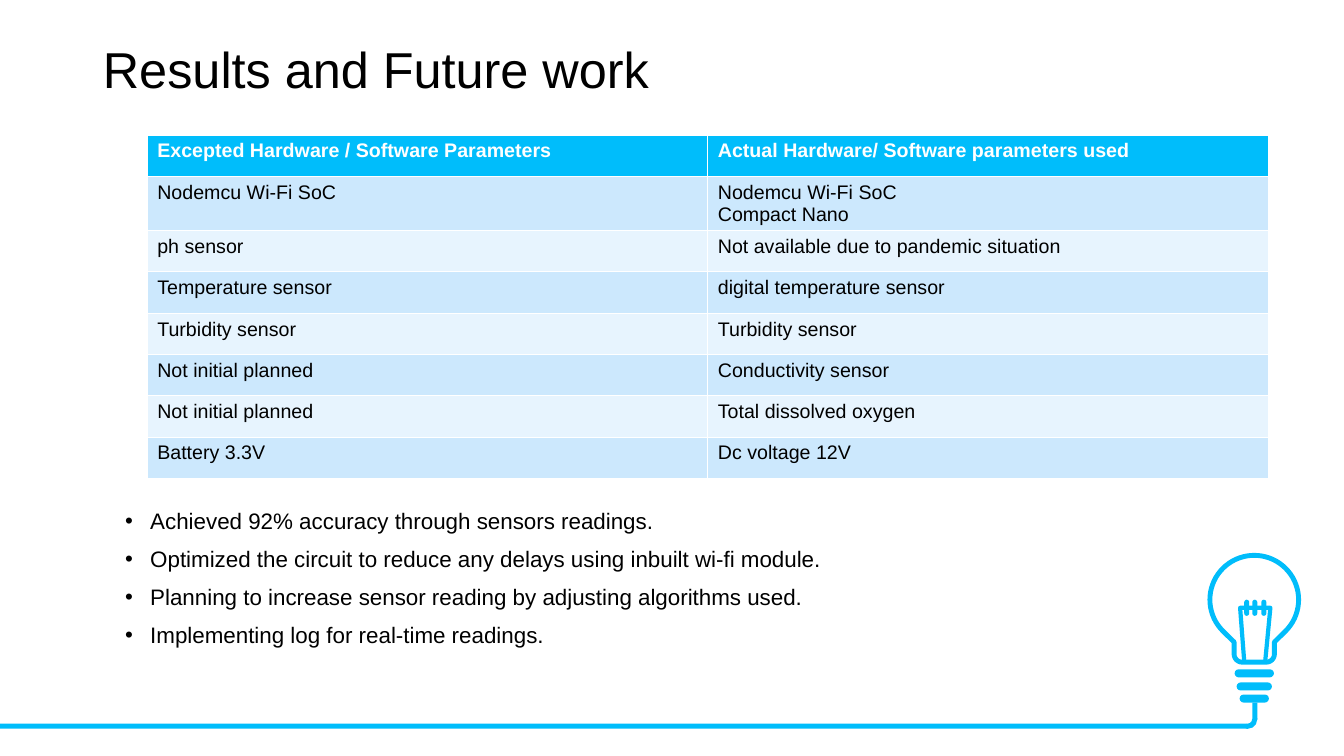
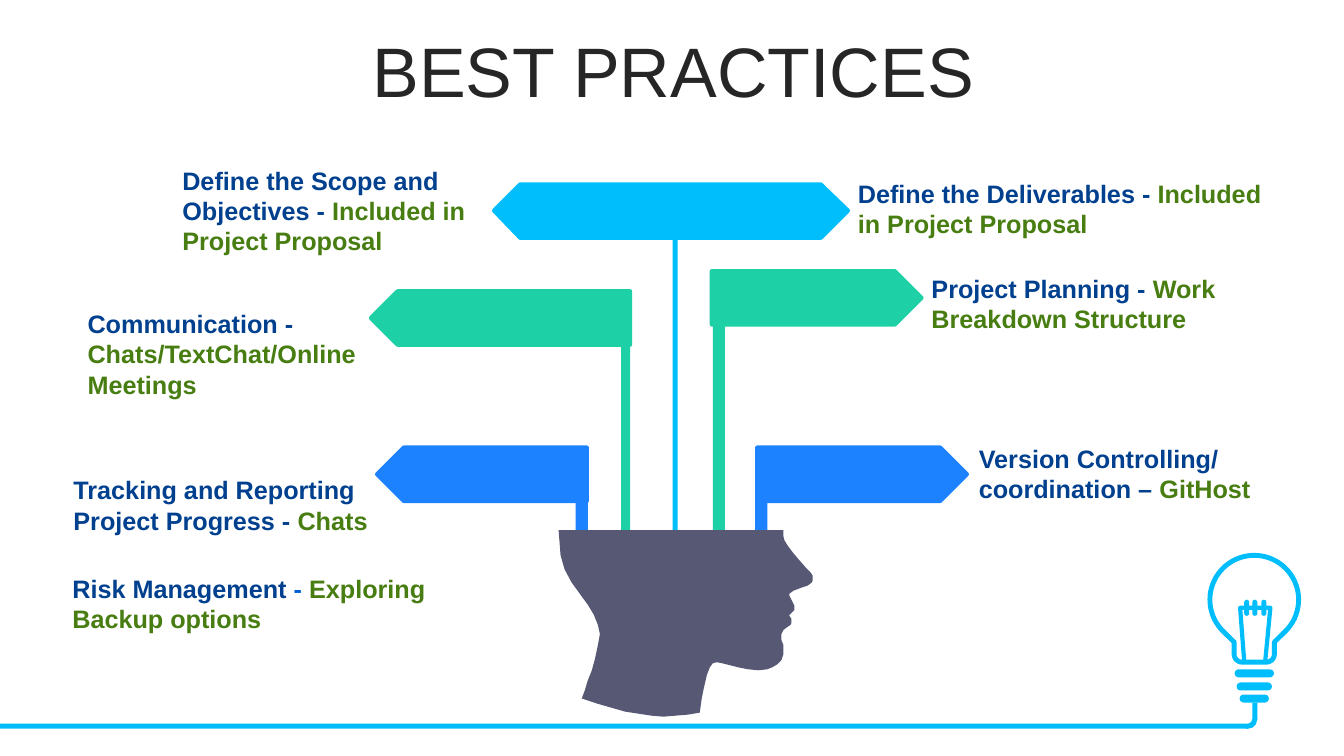
from math import cos, radians, sin

from lxml import etree
from pptx import Presentation
from pptx.dml.color import RGBColor
from pptx.enum.shapes import MSO_SHAPE
from pptx.enum.text import MSO_ANCHOR, MSO_AUTO_SIZE, PP_ALIGN
from pptx.oxml.ns import qn
from pptx.util import Inches, Pt

RECTANGLE = MSO_SHAPE.RECTANGLE
ROUNDED = MSO_SHAPE.ROUNDED_RECTANGLE
BLOCK_ARC = MSO_SHAPE.BLOCK_ARC
PENTAGON = MSO_SHAPE.PENTAGON
TOP, MIDDLE = MSO_ANCHOR.TOP, MSO_ANCHOR.MIDDLE
LEFT, CENTER = PP_ALIGN.LEFT, PP_ALIGN.CENTER
NO_FIT = MSO_AUTO_SIZE.NONE

FONT = "Arial"
SKY, GREEN, BLUE, SLATE = "00BDFB", "1ED0A6", "1C82FF", "565874"
BLACK, WHITE, CHARCOAL = "000000", "FFFFFF", "262626"
NAVY, OLIVE, DASH_BLUE = "00408E", "477D11", "005FD4"
BAND_FILLS = ("E7F4FE", "CCE8FD")

PARAMETERS = [
    ("Excepted Hardware / Software Parameters", "Actual Hardware/ Software parameters used"),
    ("Nodemcu Wi-Fi SoC", "Nodemcu Wi-Fi SoC\nCompact Nano"),
    ("ph sensor", "Not available due to pandemic situation"),
    ("Temperature sensor", "digital temperature sensor"),
    ("Turbidity sensor", "Turbidity sensor"),
    ("Not initial planned", "Conductivity sensor"),
    ("Not initial planned", "Total dissolved oxygen"),
    ("Battery 3.3V", "Dc voltage 12V"),
]
RESULTS = [
    "Achieved 92% accuracy through sensors readings.",
    "Optimized the circuit to reduce any delays using inbuilt wi-fi module.",
    "Planning to increase sensor reading by adjusting algorithms used.",
    "Implementing log for real-time readings.",
]
PRACTICES = [
    (1.71, 1.59, 3.35, 1.01, [("Define the Scope and Objectives - ", NAVY), ("Included in Project Proposal", OLIVE)]),
    (8.41, 1.72, 4.39, 0.71, [("Define the Deliverables - ", NAVY), ("Included in Project Proposal", OLIVE)]),
    (9.14, 2.66, 4.39, 0.71, [("Project Planning - ", NAVY), ("Work Breakdown Structure", OLIVE)]),
    (0.77, 3.01, 3.62, 1.01, [("Communication - ", NAVY), ("Chats/TextChat/Online Meetings", OLIVE)]),
    (0.63, 4.66, 3.62, 0.71, [("Tracking and Reporting Project Progress - ", NAVY), ("Chats", OLIVE)]),
    (9.61, 4.35, 3.94, 0.71, [("Version Controlling/ coordination – ", NAVY), ("GitHost", OLIVE)]),
    (0.62, 5.64, 3.93, 0.71, [("Risk Management ", NAVY), ("- ", DASH_BLUE), ("Exploring Backup options", OLIVE)]),
]
STEM_BOTTOM = 5.46
STEMS = [
    (6.67, 2.36, 0.05, SKY),
    (6.16, 3.42, 0.09, GREEN),
    (7.07, 3.22, 0.12, GREEN),
    (5.71, 4.44, 0.12, BLUE),
    (7.49, 4.44, 0.12, BLUE),
]
ARROW_HEIGHT = 0.53
ARROWS = [
    (7.51, 4.44, 2.08, BLUE, False),
    (7.06, 2.69, 2.08, GREEN, False),
    (3.74, 4.44, 2.08, BLUE, True),
    (3.68, 2.89, 2.57, GREEN, True),
]
SIGN = [(5.16, 1.83), (8.14, 1.83), (8.41, 2.09), (8.14, 2.36), (5.16, 2.36), (4.9, 2.09)]
HEAD = [
    (5.54, 5.26), (7.77, 5.26), (7.77, 5.32), (7.78, 5.36), (7.81, 5.41), (7.87, 5.49),
    (7.93, 5.56), (8, 5.64), (8.04, 5.68), (8.06, 5.71), (8.06, 5.76), (8.05, 5.78),
    (8.01, 5.81), (7.95, 5.83), (7.87, 5.86), (7.83, 5.89), (7.83, 5.91), (7.85, 5.95),
    (7.88, 6.01), (7.88, 6.05), (7.87, 6.06), (7.83, 6.1), (7.83, 6.11), (7.85, 6.14),
    (7.85, 6.18), (7.84, 6.2), (7.81, 6.22), (7.77, 6.25), (7.75, 6.29), (7.75, 6.35),
    (7.77, 6.4), (7.77, 6.49), (7.75, 6.55), (7.71, 6.59), (7.66, 6.62), (7.61, 6.64),
    (7.52, 6.65), (7.42, 6.64), (7.32, 6.62), (7.24, 6.6), (7.16, 6.58), (7.11, 6.57),
    (7.07, 6.58), (7.04, 6.62), (7.01, 6.7), (6.98, 6.83), (6.96, 6.93), (6.94, 7.07),
    (6.82, 7.09), (6.7, 7.1), (6.58, 7.11), (6.46, 7.1), (6.33, 7.08), (6.2, 7.06),
    (6.06, 7.02), (5.92, 6.98), (5.77, 6.93), (5.8, 6.85), (5.83, 6.75), (5.87, 6.65),
    (5.9, 6.54), (5.93, 6.4), (5.95, 6.29), (5.93, 6.2), (5.89, 6.1), (5.83, 6),
    (5.75, 5.89), (5.67, 5.78), (5.6, 5.65), (5.56, 5.51),
]
BULB_X, BULB_Y, BULB_RADIUS = 12.44, 5.95, 0.44
NECK, NECK_BOTTOM, NECK_RADIUS = 0.2, 6.57, 0.08
BASE_BARS = [(6.64, 0.39), (6.77, 0.35), (6.89, 0.29)]
FILAMENT = [(12.34, 6.55), (12.3, 6.03), (12.6, 6.03), (12.55, 6.55)]
FILAMENT_COILS = (12.34, 12.42, 12.51)


def rgb(value):
    return RGBColor.from_string(value)


def paint(shape, fill=None, line=None, width=3):
    shape.shadow.inherit = False
    if fill:
        shape.fill.solid()
        shape.fill.fore_color.rgb = rgb(fill)
    else:
        shape.fill.background()
    if line:
        shape.line.color.rgb = rgb(line)
        shape.line.width = Pt(width)
    else:
        shape.line.fill.background()
    return shape


def add_block(slide, kind, left, top, width, height, fill, line=None, adjustments=()):
    box = [Inches(value) for value in (left, top, width, height)]
    shape = slide.shapes.add_shape(kind, *box)
    for index, value in enumerate(adjustments):
        shape.adjustments[index] = value
    return paint(shape, fill, line)


def add_outline(slide, points, fill=None, line=None, width=3, close=True):
    corners = [(Inches(x), Inches(y)) for x, y in points]
    builder = slide.shapes.build_freeform(*corners[0], scale=1.0)
    builder.add_line_segments(corners[1:], close=close)
    return paint(builder.convert_to_shape(), fill, line, width)


def arc(x, y, radius, start, end, step=5):
    angles = [radians(angle) for angle in range(start, end + 1, step)]
    return [(x + radius * cos(angle), y + radius * sin(angle)) for angle in angles]


def write(paragraph, text, size=18, color=BLACK, bold=False, align=LEFT, spacing=1.0, before=0):
    paragraph.alignment = align
    paragraph.line_spacing = spacing
    paragraph.space_before = Pt(before)
    run = paragraph.add_run()
    run.text = text
    run.font.name = FONT
    run.font.size = Pt(size)
    run.font.bold = bold
    run.font.color.rgb = rgb(color)


def place(shape, left, top, width, height, anchor=TOP):
    shape.left, shape.top = Inches(left), Inches(top)
    shape.width, shape.height = Inches(width), Inches(height)
    frame = shape.text_frame
    frame.word_wrap = True
    frame.auto_size = NO_FIT
    frame.vertical_anchor = anchor
    return frame


def add_bullet(paragraph, indent):
    properties = paragraph._p.get_or_add_pPr()
    properties.set("marL", str(Inches(indent)))
    properties.set("indent", str(-Inches(indent)))
    etree.SubElement(properties, qn("a:buFont")).set("typeface", FONT)
    etree.SubElement(properties, qn("a:buChar")).set("char", "•")


def add_lamp_band(slide, master):
    parts = [
        add_outline(
            slide,
            arc(BULB_X, BULB_Y, BULB_RADIUS, 135, 405)
            + [(BULB_X + NECK, 6.37)]
            + arc(BULB_X + NECK - NECK_RADIUS, NECK_BOTTOM - NECK_RADIUS, NECK_RADIUS, 0, 90, 15)
            + arc(BULB_X - NECK + NECK_RADIUS, NECK_BOTTOM - NECK_RADIUS, NECK_RADIUS, 90, 180, 15)
            + [(BULB_X - NECK, 6.37)],
            WHITE, SKY, 3.5,
        ),
        add_outline(slide, FILAMENT, line=SKY, close=False),
        add_block(slide, RECTANGLE, 0, 7.18, 12.37, 0.05, SKY),
        add_block(slide, RECTANGLE, 12.42, 6.97, 0.05, 0.17, SKY),
        add_block(slide, BLOCK_ARC, 12.28, 7.04, 0.19, 0.19, SKY, adjustments=(213.39, 60.92, 0.27)),
    ]
    for top, width in BASE_BARS:
        parts.append(add_block(slide, ROUNDED, BULB_X - width / 2, top, width, 0.08, SKY, adjustments=(0.5,)))
    for left in FILAMENT_COILS:
        parts.append(add_block(slide, ROUNDED, left, 5.95, 0.05, 0.16, SKY, adjustments=(0.5,)))
    for number, part in enumerate(parts, 100):
        part.element.nvSpPr.cNvPr.set("id", str(number))
        master.shapes.element.append(part.element)


def build_results(slide):
    title = place(slide.shapes.title, 0.92, 0.4, 11.5, 1)
    write(title.paragraphs[0], "Results and Future work", size=36, spacing=0.9)

    body = place(slide.placeholders[1], 1.14, 5.01, 11.28, 2.17)
    for index, result in enumerate(RESULTS):
        paragraph = body.add_paragraph() if index else body.paragraphs[0]
        add_bullet(paragraph, 0.25)
        write(paragraph, result, size=16, spacing=0.9, before=10 if index else 0)

    row_count, column_count = len(PARAMETERS), len(PARAMETERS[0])
    table = slide.shapes.add_table(
        row_count, column_count, Inches(1.46), Inches(1.34),
        Inches(5.56 * column_count), Inches(0.41 * row_count),
    ).table
    for row, values in enumerate(PARAMETERS):
        for column, value in enumerate(values):
            cell = table.cell(row, column)
            cell.fill.solid()
            cell.fill.fore_color.rgb = rgb(BAND_FILLS[row % 2] if row else SKY)
            for index, text in enumerate(value.split("\n")):
                frame = cell.text_frame
                paragraph = frame.add_paragraph() if index else frame.paragraphs[0]
                write(paragraph, text, size=14, color=BLACK if row else WHITE, bold=row == 0)


def build_practices(slide):
    title = place(slide.shapes.title, 0.35, 0.37, 12.66, 0.79, MIDDLE)
    write(title.paragraphs[0], "BEST PRACTICES", size=50, color=CHARCOAL, align=CENTER, spacing=0.8)

    for left, top, width, color in STEMS:
        add_block(slide, RECTANGLE, left, top, width, STEM_BOTTOM - top, color)
    add_outline(slide, HEAD, SLATE)
    for left, top, width, color, flipped in ARROWS:
        arrow = add_block(slide, PENTAGON, left, top, width, ARROW_HEIGHT, color, color)
        if flipped:
            arrow.element.spPr.get_or_add_xfrm().set("flipH", "1")
    add_outline(slide, SIGN, SKY, SKY)

    for left, top, width, height, pieces in PRACTICES:
        frame = place(slide.shapes.add_textbox(0, 0, 0, 0), left, top, width, height)
        for text, color in pieces:
            write(frame.paragraphs[0], text, color=color, bold=True)


def main():
    presentation = Presentation()
    presentation.slide_width, presentation.slide_height = Inches(13.33), Inches(7.5)
    layouts = presentation.slide_layouts
    results = presentation.slides.add_slide(layouts.get_by_name("Title and Content"))
    practices = presentation.slides.add_slide(layouts.get_by_name("Title Only"))
    add_lamp_band(results, presentation.slide_master)
    build_results(results)
    build_practices(practices)
    presentation.save("out.pptx")


if __name__ == "__main__":
    main()
